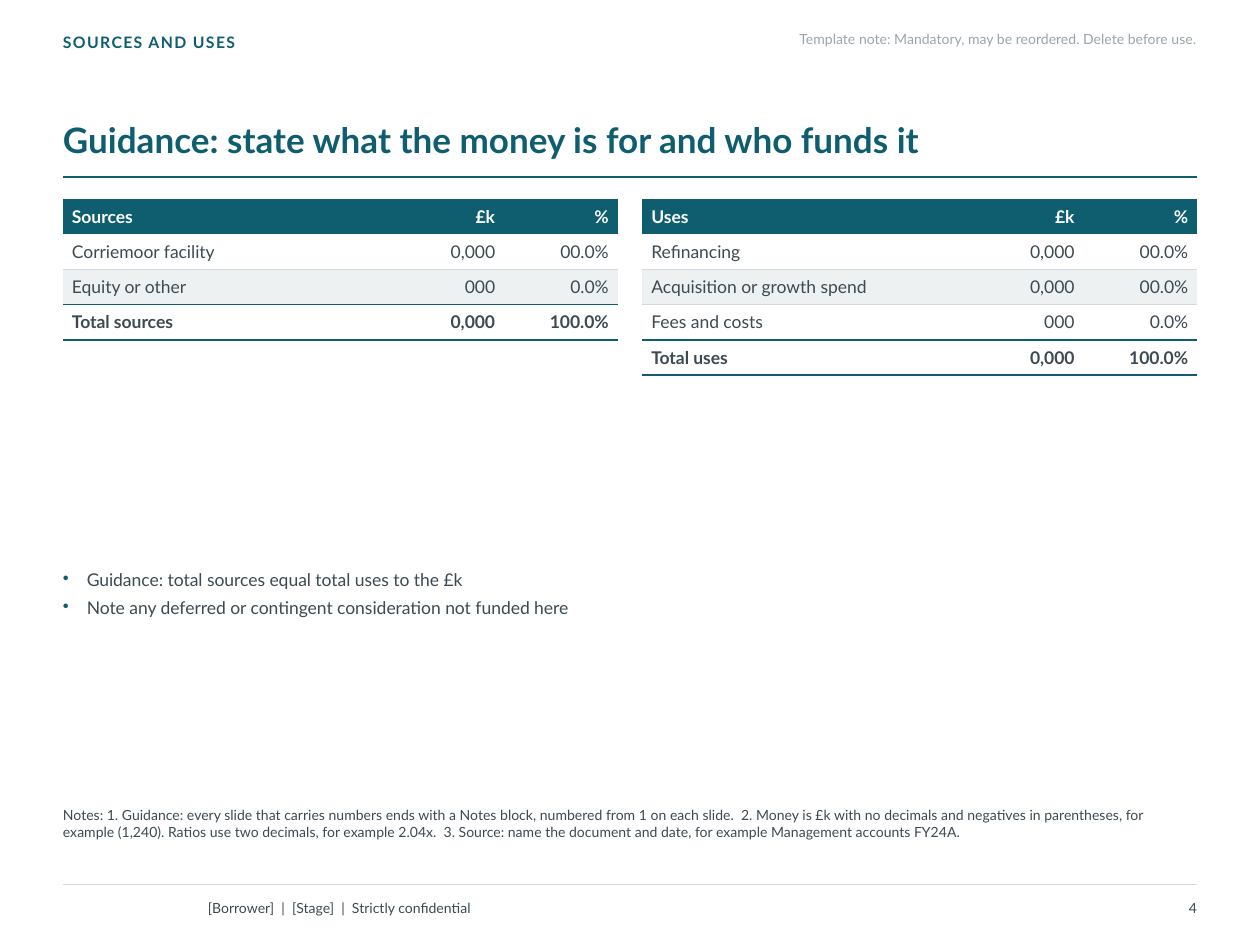
"""Build the sources and uses slide of a credit paper."""
from lxml.etree import SubElement
from pptx import Presentation
from pptx.dml.color import RGBColor
from pptx.enum.shapes import MSO_CONNECTOR as Wire
from pptx.enum.text import MSO_ANCHOR as Anchor, PP_ALIGN as Align
from pptx.oxml.ns import qn
from pptx.util import Cm, Pt

TEAL, INK, GREY, RULE, BAND, WHITE = "0E5E6F", "3D4A52", "9AA5AB", "D3D9DC", "EEF1F2", "FFFFFF"
LEFT, WIDE = 1.27, 22.86


def color(code):
    return RGBColor.from_string(code)


def paint(parent, code):
    fill = SubElement(parent, qn("a:solidFill"))
    SubElement(fill, qn("a:srgbClr")).set("val", code)


class Page:
    def __init__(self, slide, face="Lato"):
        self.slide, self.face = slide, face

    def style(self, para, size, code, bold=False, align=Align.LEFT):
        para.alignment = align
        font = para.font
        font.name, font.size, font.bold = self.face, Pt(size), bold
        font.color.rgb = color(code)

    def text(self, words, x, y, w, h, size=8, code=INK, bold=False, align=Align.LEFT,
             anchor=Anchor.TOP, pad=(0, 0, 0, 0)):
        frame = self.slide.shapes.add_textbox(Cm(x), Cm(y), Cm(w), Cm(h)).text_frame
        frame.word_wrap, frame.vertical_anchor = True, anchor
        (frame.margin_left, frame.margin_top,
         frame.margin_right, frame.margin_bottom) = map(Cm, pad)
        para = frame.paragraphs[0]
        para.text = words
        self.style(para, size, code, bold, align)
        return para

    def list(self, items, x, y, w, h):
        frame = self.slide.shapes.add_textbox(Cm(x), Cm(y), Cm(w), Cm(h)).text_frame
        frame.word_wrap = True
        frame.margin_left = frame.margin_right = frame.margin_bottom = 0
        frame.margin_top = Cm(0.05)
        for i, item in enumerate(items):
            para = frame.add_paragraph() if i else frame.paragraphs[0]
            para.text = item
            if i:
                para.space_before = Pt(4)
            props = para._p.get_or_add_pPr()
            props.set("marL", str(Cm(0.48)))
            props.set("indent", str(-Cm(0.48)))
            SubElement(SubElement(props, qn("a:buClr")), qn("a:srgbClr")).set("val", TEAL)
            SubElement(props, qn("a:buChar")).set("char", "•")
            self.style(para, 10, INK)

    def line(self, y, code, width):
        wire = self.slide.shapes.add_connector(
            Wire.STRAIGHT, Cm(LEFT), Cm(y), Cm(LEFT + WIDE), Cm(y))
        wire.line.color.rgb, wire.line.width = color(code), Pt(width)
        SubElement(wire._element.spPr, qn("a:effectLst"))

    def edge(self, cell, side, rule):
        line = SubElement(cell._tc.get_or_add_tcPr(), qn("a:ln" + side))
        if rule:
            code, width = rule
            line.set("w", str(Pt(width)))
            paint(line, code)
        else:
            SubElement(line, qn("a:noFill"))

    def table(self, rows, x, y, cols=(6.35, 2.54, 2.29), high=0.71):
        count = len(rows)
        grid = self.slide.shapes.add_table(
            count, len(cols), Cm(x), Cm(y), Cm(sum(cols)), Cm(high * count)).table
        grid.first_row = grid.horz_banding = False
        for col, width in zip(grid.columns, cols):
            col.width = Cm(width)
        rules = [None] * 2 + [(RULE, 0.5)] * (count - 3) + [(TEAL, 1)] * 2
        for r, row in enumerate(rows):
            grid.rows[r].height = Cm(high)
            head, total = r == 0, r == count - 1
            back = TEAL if head else BAND if r % 2 == 0 and not total else None
            for c, words in enumerate(row):
                cell = grid.cell(r, c)
                for side, rule in zip("LRTB", (None, None, rules[r], rules[r + 1])):
                    self.edge(cell, side, rule)
                if back:
                    cell.fill.solid()
                    cell.fill.fore_color.rgb = color(back)
                else:
                    cell.fill.background()
                cell.margin_left = cell.margin_right = Cm(0.18)
                cell.margin_top = cell.margin_bottom = Cm(0.1)
                cell.vertical_anchor = Anchor.MIDDLE
                cell.text = words
                self.style(cell.text_frame.paragraphs[0], 10, WHITE if head else INK,
                           head or total, Align.RIGHT if c else Align.LEFT)


def main():
    deck = Presentation()
    deck.slide_width, deck.slide_height = Cm(25.4), Cm(19.05)
    page = Page(deck.slides.add_slide(deck.slide_layouts[6]))
    page.line(17.83, RULE, 0.75)
    page.line(3.56, TEAL, 1.25)
    label = page.text("SOURCES AND USES", LEFT, 0.66, 17.78, 0.61, 9, TEAL, True)
    label._p.pPr.find(qn("a:defRPr")).set("spc", "80")
    title = page.text("Guidance: state what the money is for and who funds it",
                      LEFT, 1.27, WIDE, 2.08, 20, TEAL, True,
                      anchor=Anchor.BOTTOM, pad=(0, 0, 0, 0.1))
    title.line_spacing = 0.92
    page.table([("Sources", "£k", "%"),
                ("Corriemoor facility", "0,000", "00.0%"),
                ("Equity or other", "000", "0.0%"),
                ("Total sources", "0,000", "100.0%")], LEFT, 4.01)
    page.table([("Uses", "£k", "%"),
                ("Refinancing", "0,000", "00.0%"),
                ("Acquisition or growth spend", "0,000", "00.0%"),
                ("Fees and costs", "000", "0.0%"),
                ("Total uses", "0,000", "100.0%")], 12.95, 4.01)
    page.list(["Guidance: total sources equal total uses to the £k",
               "Note any deferred or contingent consideration not funded here"],
              LEFT, 11.43, WIDE, 4.57)
    page.text("Notes: 1. Guidance: every slide that carries numbers ends with a Notes block, "
              "numbered from 1 on each slide.  2. Money is £k with no decimals and negatives in "
              "parentheses, for example (1,240). Ratios use two decimals, for example 2.04x.  "
              "3. Source: name the document and date, for example Management accounts FY24A.",
              LEFT, 16.26, WIDE, 1.47)
    page.text("[Borrower]  |  [Stage]  |  Strictly confidential", 4.19, 17.98, 14.22, 0.66,
              anchor=Anchor.MIDDLE, pad=(0, 0.13, 0.25, 0.13))
    page.text("4", 21.59, 17.98, 2.54, 0.66, align=Align.RIGHT,
              anchor=Anchor.MIDDLE, pad=(0.25, 0.13, 0, 0.13))
    page.text("Template note: Mandatory, may be reordered. Delete before use.",
              13.72, 0.61, 10.41, 0.61, code=GREY, align=Align.RIGHT)
    deck.save("out.pptx")


if __name__ == "__main__":
    main()
